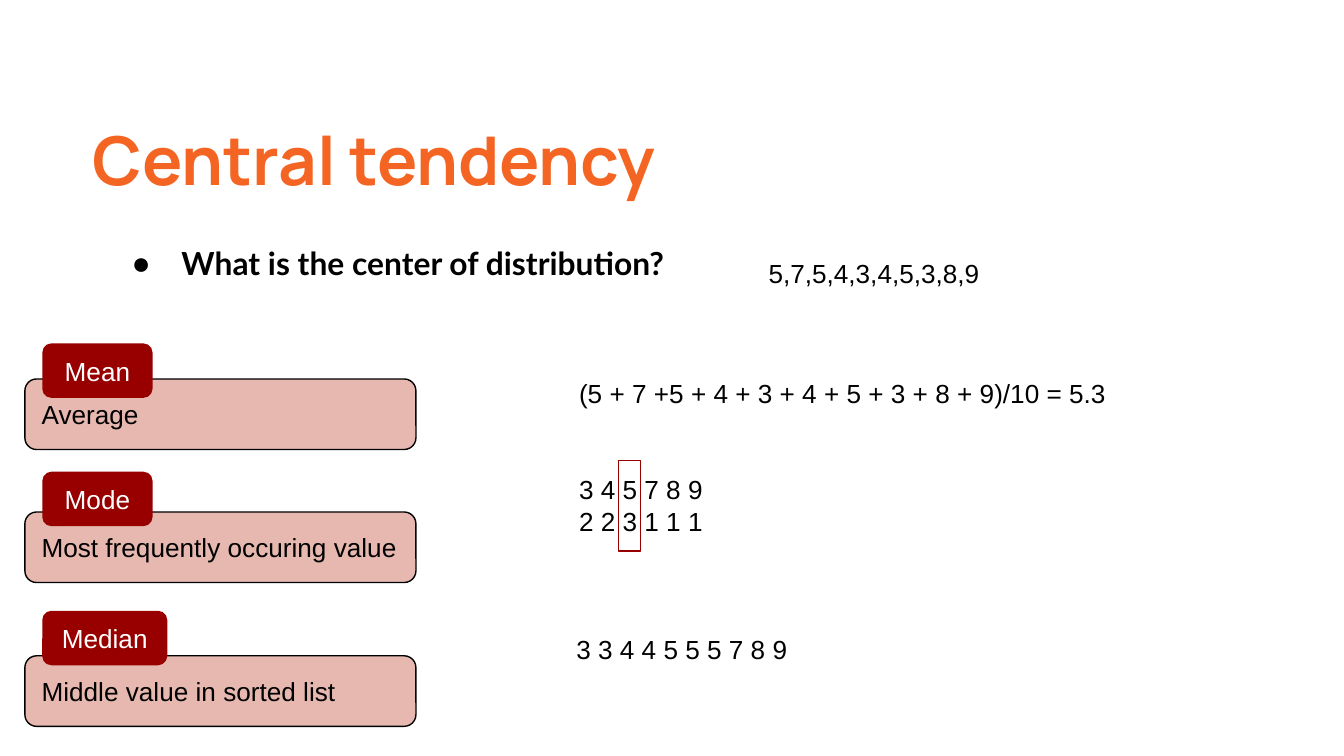
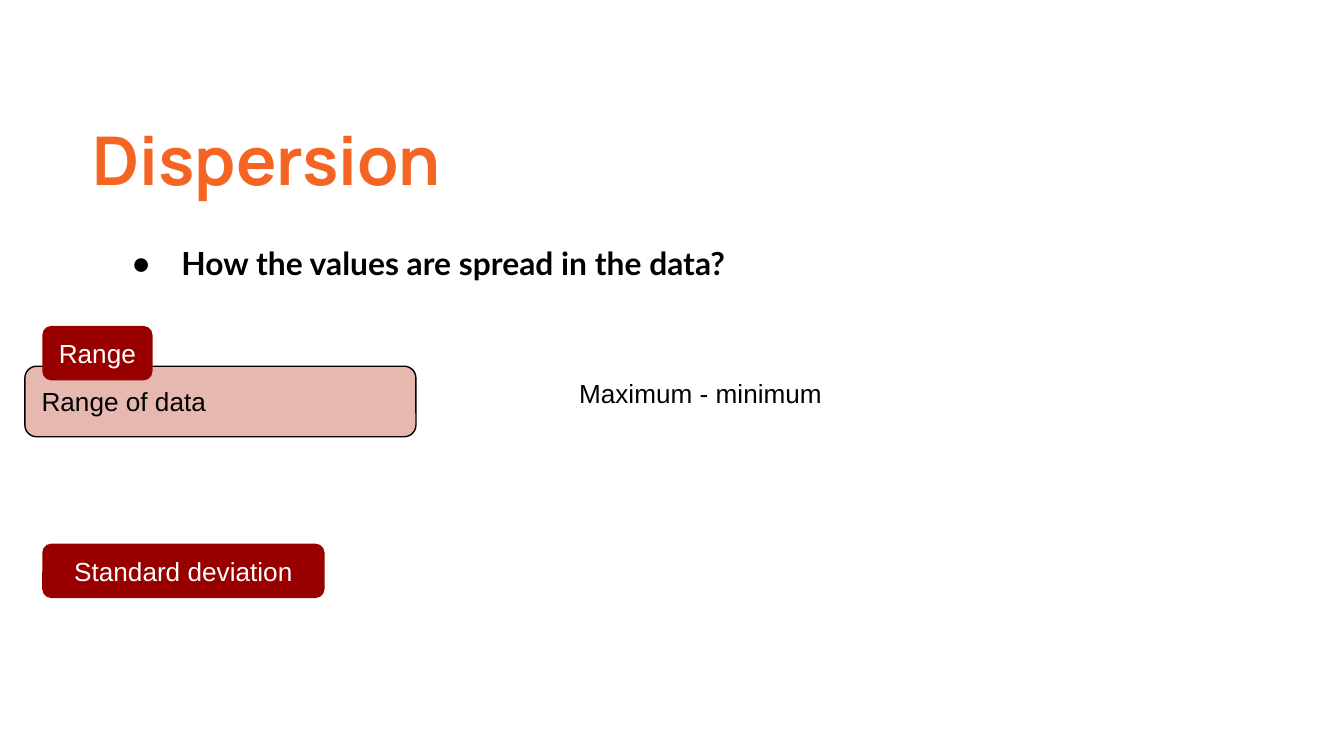
from lxml import etree
from pptx import Presentation
from pptx.dml.color import RGBColor
from pptx.enum.shapes import MSO_SHAPE as SHAPE
from pptx.enum.text import MSO_ANCHOR as ANCHOR, MSO_AUTO_SIZE as AUTO_SIZE, PP_ALIGN as ALIGN
from pptx.oxml.ns import qn
from pptx.util import Pt

PX = 4572  # 200 px to the inch
WIDTH, HEIGHT = 2000, 1125
INSET = 20

ORANGE = "F46524"
DARK_RED = "980000"
PINK = "E6B8AF"
BLACK = "000000"
WHITE = "FFFFFF"

TITLE_BOX = (118, 156, 1136, 168)
QUESTION_BOX = (150, 343, 1850, 154)
CARD_LEFT, CARD_WIDTH, CARD_HEIGHT = 37, 582, 105
TAG_LEFT, TAG_WIDTH, TAG_HEIGHT = 63, 164, 81
FORMULA_BOX = (842, 542, 1042, 88)


def rgb(color):
    return RGBColor.from_string(color)


def emu(box):
    return [length * PX for length in box]


def write(shape, text, size=14, font="Arial", color=BLACK, bold=False,
          align=ALIGN.LEFT, anchor=ANCHOR.TOP):
    frame = shape.text_frame
    frame.text = text
    frame.word_wrap = True
    frame.vertical_anchor = anchor
    frame.margin_left = frame.margin_right = INSET * PX
    frame.margin_top = frame.margin_bottom = INSET * PX
    for paragraph in frame.paragraphs:
        paragraph.alignment = align
        paragraph.space_before = Pt(0)
        for run in paragraph.runs:
            run.font.size = Pt(size)
            run.font.name = font
            run.font.bold = bold
            run.font.color.rgb = rgb(color)
    return frame


def add_panel(slide, kind, box, fill=None, line=None):
    panel = slide.shapes.add_shape(kind, *emu(box))
    panel.shadow.inherit = False
    if fill:
        panel.fill.solid()
        panel.fill.fore_color.rgb = rgb(fill)
    else:
        panel.fill.background()
    if line:
        panel.line.color.rgb = rgb(line)
        panel.line.width = Pt(0.75)
    else:
        panel.line.fill.background()
    return panel


def add_card(slide, top, definition):
    box = (CARD_LEFT, top, CARD_WIDTH, CARD_HEIGHT)
    card = add_panel(slide, SHAPE.ROUNDED_RECTANGLE, box, PINK, BLACK)
    write(card, definition, anchor=ANCHOR.MIDDLE)


def add_tag(slide, top, term, width=TAG_WIDTH):
    box = (TAG_LEFT, top, width, TAG_HEIGHT)
    tag = add_panel(slide, SHAPE.ROUNDED_RECTANGLE, box, DARK_RED)
    write(tag, term, color=WHITE, align=ALIGN.CENTER, anchor=ANCHOR.MIDDLE)


def add_example(slide, box, text):
    example = slide.shapes.add_textbox(*emu(box))
    write(example, text).auto_size = AUTO_SIZE.SHAPE_TO_FIT_TEXT


def place(placeholder, box):
    placeholder.left, placeholder.top, placeholder.width, placeholder.height = emu(box)


def add_bullet(paragraph):
    properties = paragraph._p.get_or_add_pPr()
    properties.set("marL", str(100 * PX))
    properties.set("indent", str(-74 * PX))
    bullet_color = etree.SubElement(properties, qn("a:buClr"))
    etree.SubElement(bullet_color, qn("a:srgbClr")).set("val", BLACK)
    etree.SubElement(properties, qn("a:buChar")).set("char", "●")


def add_topic_slide(deck, topic, question):
    """Add a slide with its orange title and one bulleted question."""
    slide = deck.slides.add_slide(deck.slide_layouts[1])
    title, body = slide.shapes.title, slide.placeholders[1]
    place(title, TITLE_BOX)
    title_frame = write(title, topic, 36, "Manrope", ORANGE, True)
    title_frame.auto_size = AUTO_SIZE.NONE
    title_frame.paragraphs[0].space_after = Pt(16)
    place(body, QUESTION_BOX)
    question_frame = write(body, question, 17, "Lato", BLACK, True)
    question_frame.auto_size = AUTO_SIZE.NONE
    add_bullet(question_frame.paragraphs[0])
    return slide


def add_mode_count(slide, left, top):
    """Show the values over their counts, with the most frequent one framed."""
    height = 135
    add_example(slide, (left, top, 244, height), "3 4 5 7 8 9\n2 2 3 1 1 1")
    add_panel(slide, SHAPE.RECTANGLE, (left + 78, top, 33, height), line=DARK_RED)


def build_central_tendency(deck):
    slide = add_topic_slide(deck, "Central tendency", "What is the center of distribution?")
    measures = [
        ("Mean", 511, TAG_WIDTH, "Average", 564),
        ("Mode", 702, TAG_WIDTH, "Most frequently occuring value", 762),
        ("Median", 909, 186, "Middle value in sorted list", 976),
    ]
    for term, tag_top, tag_width, definition, card_top in measures:
        add_card(slide, card_top, definition)
        add_tag(slide, tag_top, term, tag_width)
    add_example(slide, (1124, 363, 408, 88), "5,7,5,4,3,4,5,3,8,9")
    add_example(slide, FORMULA_BOX, "(5 + 7 +5 + 4 + 3 + 4 + 5 + 3 + 8 + 9)/10 = 5.3")
    add_mode_count(slide, 842, 685)
    add_example(slide, (838, 923, 408, 88), "3 3 4 4 5 5 5 7 8 9")


def build_dispersion(deck):
    slide = add_topic_slide(deck, "Dispersion", "How the values are spread in the data?")
    add_card(slide, 545, "Range of data")
    add_tag(slide, 485, "Range")
    add_tag(slide, 809, "Standard deviation", 420)
    add_example(slide, FORMULA_BOX, "Maximum - minimum")


def main():
    deck = Presentation()
    deck.slide_width, deck.slide_height = WIDTH * PX, HEIGHT * PX
    build_central_tendency(deck)
    build_dispersion(deck)
    deck.save("out.pptx")


if __name__ == "__main__":
    main()
